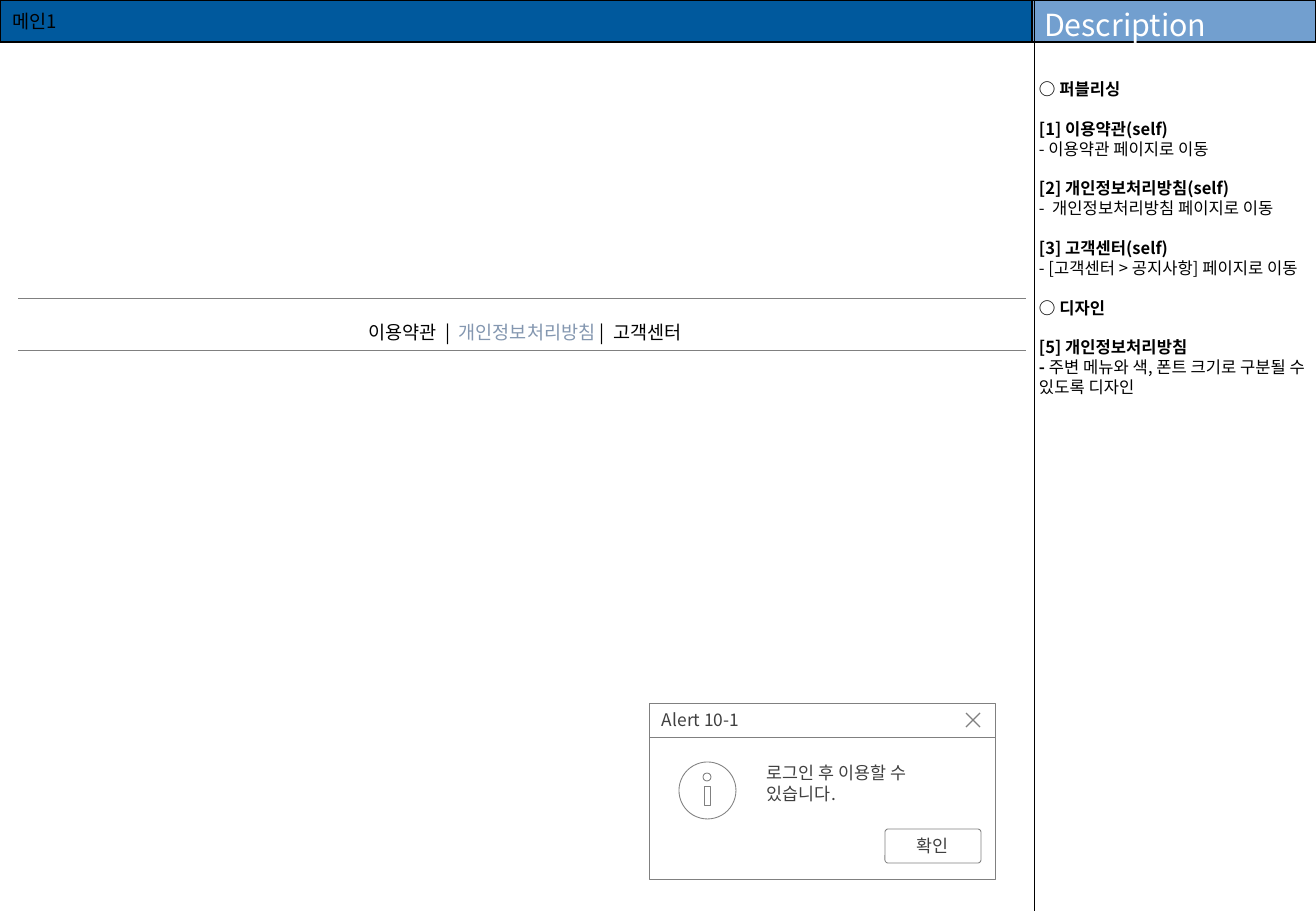
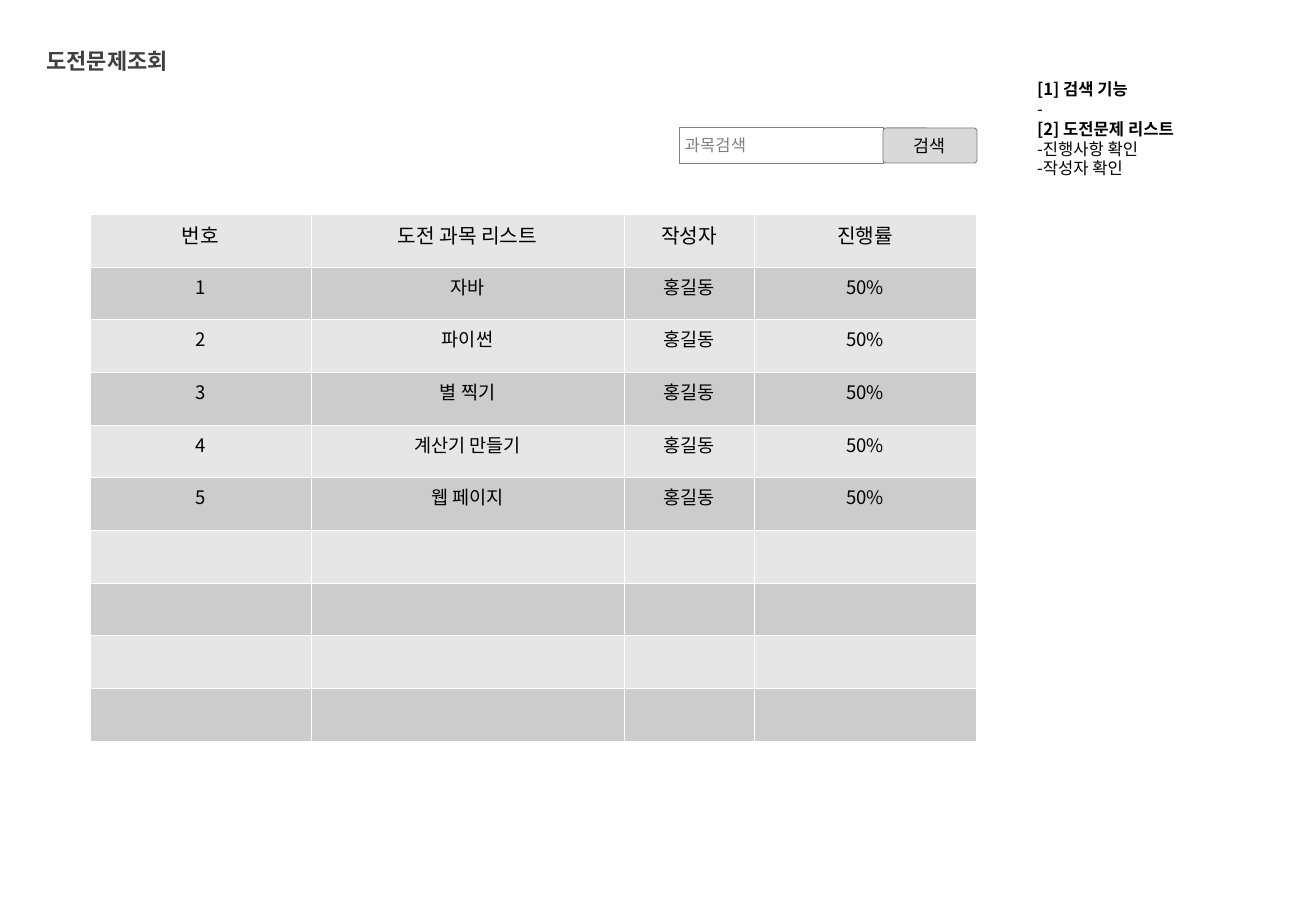
from lxml.etree import SubElement
from pptx import Presentation
from pptx.dml.color import RGBColor
from pptx.enum.shapes import MSO_CONNECTOR as CONN, MSO_SHAPE as SHAPE
from pptx.enum.text import MSO_ANCHOR as ANCHOR, PP_ALIGN as ALIGN
from pptx.oxml.ns import qn
from pptx.util import Emu, Pt

PX = 7526
WIDTH, HEIGHT = 1316, 911
FONT = "Noto Sans CJK KR"
C = {
    "black": "000000", "white": "FFFFFF", "ink": "404040", "gray": "808080",
    "header": "00599D", "panel": "729FCF", "muted": "8497B0",
    "button": "D9D9D9", "light": "E6E6E6", "dark": "CCCCCC",
}

PANEL_X, BAR_H = 1032, 42
NOTE_SIZE, NOTE_GAP = 9.8, 11.8

MAIN_NOTES = [
    [("○ 퍼블리싱", True)],
    [("[1] 이용약관(self)", True), ("- 이용약관 페이지로 이동", False)],
    [("[2] 개인정보처리방침(self)", True), ("-  개인정보처리방침 페이지로 이동", False)],
    [("[3] 고객센터(self)", True), ("- [고객센터 > 공지사항] 페이지로 이동", False)],
    [("○ 디자인", True)],
    [("[5] 개인정보처리방침", True),
     ("- ", True, "주변 메뉴와 색, 폰트 크기로 구분될 수 있도록 디자인", False)],
]
LIST_NOTES = [[
    ("[1] 검색 기능", True), ("-", False), ("[2] 도전문제 리스트", True),
    ("-진행사항 확인", False), ("-작성자 확인", False),
]]
FOOTER_MENU = [("이용약관  |  ", "black"), ("개인정보처리방침", "muted"), (" |  고객센터", "black")]

HEADINGS = ["번호", "도전 과목 리스트", "작성자", "진행률"]
SUBJECTS = ["자바", "파이썬", "별 찍기", "계산기 만들기", "웹 페이지"]
LIST_COLS = [221, 313, 130, 222]
LIST_ROWS, LIST_H = 10, 527


def px(*values):
    return [Emu(v * PX) for v in values]


def rgb(name):
    return RGBColor.from_string(C[name])


def add_run(p, text, size, color="black", bold=False):
    r = p.add_run()
    r.text = text
    f = r.font
    f.name, f.size, f.bold = FONT, Pt(size), bold
    f.color.rgb = rgb(color)
    SubElement(f._element, qn("a:ea")).set("typeface", FONT)


def set_frame(tf, insets, anchor=ANCHOR.TOP, wrap=True):
    tf.margin_left, tf.margin_top, tf.margin_right, tf.margin_bottom = px(*insets)
    tf.vertical_anchor, tf.word_wrap = anchor, wrap
    return tf


def add_text(s, box, text, size, color, insets, align=ALIGN.LEFT, wrap=True, bold=False):
    sp = s.shapes.add_textbox(*px(*box))
    p = set_frame(sp.text_frame, insets, wrap=wrap).paragraphs[0]
    p.alignment = align
    add_run(p, text, size, color, bold)


def style_shape(sp, fill, line, width):
    sp.shadow.inherit = False
    if fill:
        sp.fill.solid()
        sp.fill.fore_color.rgb = rgb(fill)
    else:
        sp.fill.background()
    sp.line.color.rgb = rgb(line)
    sp.line.width = Pt(width)


def add_box(s, box, fill=None, line="gray", width=0.5, kind=SHAPE.RECTANGLE, radius=None):
    sp = s.shapes.add_shape(kind, *px(*box))
    if radius:
        sp.adjustments[0] = radius
    style_shape(sp, fill, line, width)
    return sp


def label(sp, text, size, color, insets=(12, 6, 12, 6), align=ALIGN.LEFT,
          anchor=ANCHOR.MIDDLE, wrap=True):
    p = set_frame(sp.text_frame, insets, anchor, wrap).paragraphs[0]
    p.alignment = align
    add_run(p, text, size, color)


def add_button(s, box, text, fill, color):
    sp = add_box(s, box, fill, kind=SHAPE.ROUNDED_RECTANGLE, radius=0.09)
    label(sp, text, 10.3, color, (6, 6, 6, 6), ALIGN.CENTER)


def add_notes(s, x, groups):
    sp = s.shapes.add_textbox(*px(x, BAR_H, WIDTH - x, HEIGHT - BAR_H))
    tf = set_frame(sp.text_frame, (5, 37, 5, 0))
    p = None
    for group in groups:
        for i, line in enumerate(group):
            gap = NOTE_GAP if p is not None and i == 0 else 0
            p = tf.paragraphs[0] if p is None else tf.add_paragraph()
            p.space_before = Pt(gap)
            for text, bold in zip(line[::2], line[1::2]):
                add_run(p, text, NOTE_SIZE, bold=bold)


def add_grid(s, x, y, cols, rows, height):
    tb = s.shapes.add_table(rows, len(cols), *px(x, y, sum(cols), height)).table
    tb.first_row = tb.horz_banding = False
    for col, w in zip(tb.columns, cols):
        col.width = Emu(w * PX)
    for row in tb.rows:
        row.height = Emu(height * PX // rows)
    return tb


def set_borders(cell, borders):
    tcPr = cell._tc.get_or_add_tcPr()
    for side, (color, width) in zip("LRTB", borders):
        ln = SubElement(tcPr, qn("a:ln" + side), w=str(int(Pt(width))))
        fill = SubElement(ln, qn("a:solidFill"))
        SubElement(fill, qn("a:srgbClr")).set("val", C[color])


def set_cell(cell, runs, size, insets):
    cell.margin_left, cell.margin_top, cell.margin_right, cell.margin_bottom = px(*insets)
    p = cell.text_frame.paragraphs[0]
    p.alignment = ALIGN.CENTER
    for text, color in runs:
        add_run(p, text, size, color)
    return p


def add_footer_menu(s):
    cell = add_grid(s, 17, 298, [1010], 1, 46).cell(0, 0)
    set_borders(cell, [("white", 0.96)] * 2 + [("gray", 0.5)] * 2)
    cell.fill.background()
    set_cell(cell, FOOTER_MENU, 11, (19, 6, 13, 6)).line_spacing = 1.5


def add_alert(s):
    x, y, w, bar_h = 649, 703, 347, 34
    add_box(s, (x, y + bar_h, w, 143), "white")
    add_text(s, (756, 757, 214, 62), "로그인 후 이용할 수 있습니다.", 10.3, "ink", (11, 5, 11, 5))
    bar = add_box(s, (x, y, w, bar_h), "white")
    label(bar, "Alert 10-1", 10.3, "ink", (13, 6, 33, 6))

    left, top, right, bottom = 966, 713, 980, 727
    fb = s.shapes.build_freeform(right, top, scale=PX)
    fb.add_line_segments([(left, bottom)], close=False)
    fb.move_to(left, top)
    fb.add_line_segments([(right, bottom)], close=False)
    style_shape(fb.convert_to_shape(), None, "gray", 0.75)

    for box, kind in [((679, 762, 57, 57), SHAPE.OVAL), ((703, 773, 8, 8), SHAPE.OVAL),
                      ((704, 786, 7, 20), SHAPE.RECTANGLE)]:
        add_box(s, box, kind=kind)
    add_button(s, (885, 829, 96, 34), "확인", "white", "ink")


def build_main(s):
    add_footer_menu(s)
    add_alert(s)
    add_notes(s, PANEL_X + 2, MAIN_NOTES)
    panel = add_box(s, (PANEL_X, 0, WIDTH - PANEL_X, BAR_H), "panel", "black", 0.75)
    label(panel, "Description", 18, "white", anchor=ANCHOR.TOP)
    header = add_box(s, (0, 0, PANEL_X, BAR_H), "header", "black", 0.75)
    label(header, "메인1", 11, "black", wrap=False)
    divider = s.shapes.add_connector(
        CONN.STRAIGHT, *px(PANEL_X + 2, 0, PANEL_X + 2, HEIGHT))
    divider.line.color.rgb = rgb("black")
    divider.line.width = Pt(0.5)
    SubElement(divider._element.spPr, qn("a:effectLst"))


def build_list(s):
    add_notes(s, PANEL_X, LIST_NOTES)
    add_text(s, (29, 42, 156, 39), "도전문제조회", 13, "ink", (12, 6, 12, 6),
             ALIGN.CENTER, wrap=False, bold=True)
    search = add_box(s, (679, 127, 204, 36))
    label(search, "과목검색", 9.8, "gray", (6, 6, 6, 6))
    add_button(s, (883, 128, 94, 35), "검색", "button", "black")

    tb = add_grid(s, 90, 214, LIST_COLS, LIST_ROWS, LIST_H)
    rows = [HEADINGS] + [[str(n), name, "홍길동", "50%"] for n, name in enumerate(SUBJECTS, 1)]
    rows += [[""] * len(LIST_COLS)] * (LIST_ROWS - len(rows))
    for i, row in enumerate(rows):
        for j, text in enumerate(row):
            cell = tb.cell(i, j)
            set_borders(cell, [("white", 0.06)] * 4)
            cell.fill.solid()
            cell.fill.fore_color.rgb = rgb("dark" if i % 2 else "light")
            if text:
                set_cell(cell, [(text, "black")], 11 if i else 12, (12, 6, 12, 6))


def main():
    prs = Presentation()
    prs.slide_width, prs.slide_height = px(WIDTH, HEIGHT)
    for build in (build_main, build_list):
        build(prs.slides.add_slide(prs.slide_layouts[6]))
    prs.save("out.pptx")


if __name__ == "__main__":
    main()
